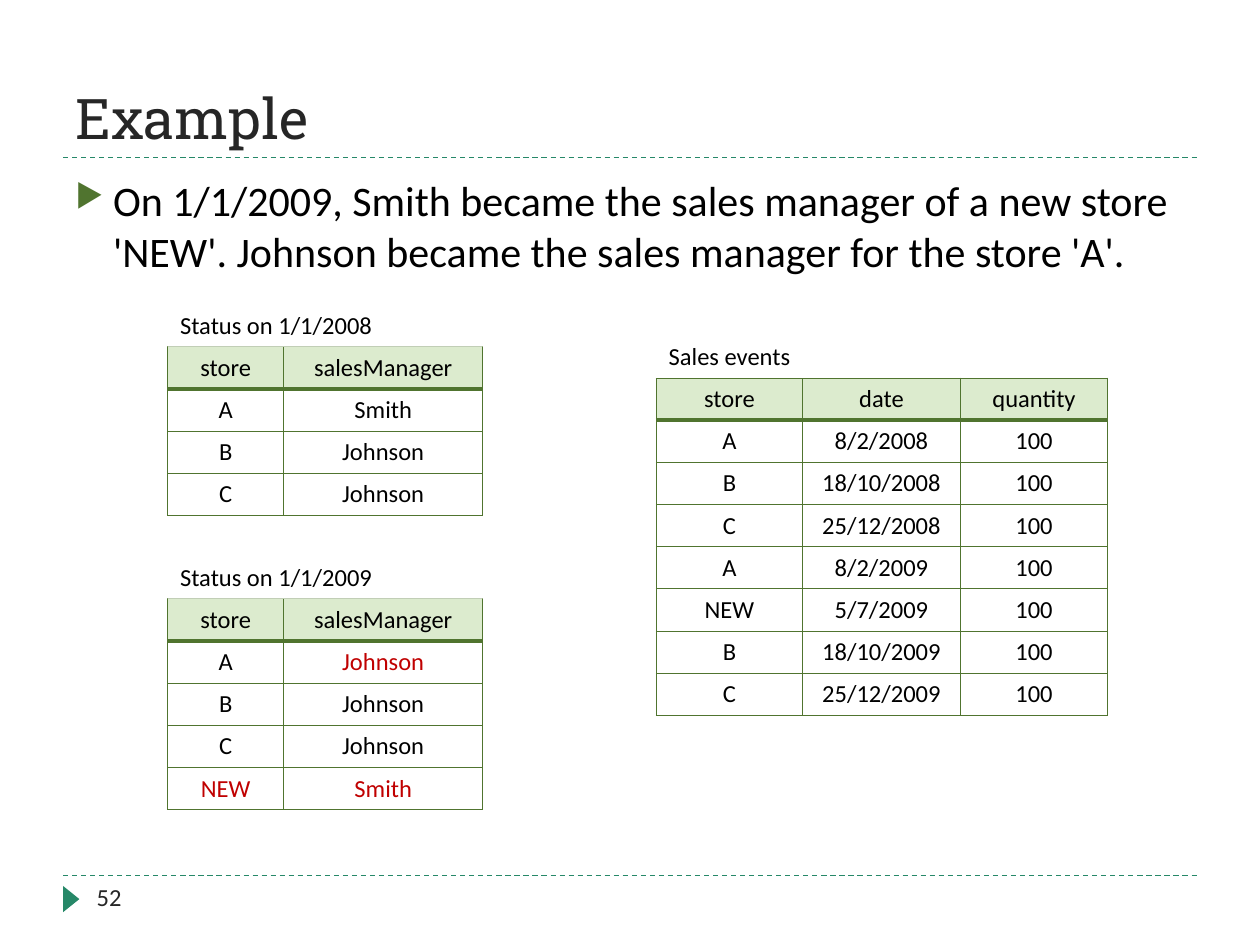
import lxml.etree
import pptx
import pptx.dml.color
import pptx.enum.dml
import pptx.enum.shapes
import pptx.enum.text
import pptx.oxml.ns
import pptx.util

Cm, Pt = pptx.util.Cm, pptx.util.Pt
qn = pptx.oxml.ns.qn
SHAPES = pptx.enum.shapes.MSO_SHAPE
ANCHOR = pptx.enum.text.MSO_ANCHOR

# Content
TITLE = "Example"
BODY = ("On 1/1/2009, Smith became the sales manager of a new store 'NEW'. "
        "Johnson became the sales manager for the store 'A'.")
PAGE_NUMBER = "52"
STATUS_COLUMNS = [("store", 2.34), ("salesManager", 4.01)]
EVENT_COLUMNS = [("store", 2.95), ("date", 3.18), ("quantity", 2.97)]
# "changed" holds the (row, column) of highlighted cells, the header being row 0
TABLES = [
    {"caption": "Status on 1/1/2008", "caption_width": 6.35, "left": 3.38, "top": 6.99,
     "columns": STATUS_COLUMNS, "changed": [],
     "rows": [("A", "Smith"), ("B", "Johnson"), ("C", "Johnson")]},
    {"caption": "Sales events", "caption_width": 4.88, "left": 13.23, "top": 7.62,
     "columns": EVENT_COLUMNS, "changed": [],
     "rows": [("A", "8/2/2008", "100"), ("B", "18/10/2008", "100"),
              ("C", "25/12/2008", "100"), ("A", "8/2/2009", "100"),
              ("NEW", "5/7/2009", "100"), ("B", "18/10/2009", "100"),
              ("C", "25/12/2009", "100")]},
    {"caption": "Status on 1/1/2009", "caption_width": 6.35, "left": 3.38, "top": 12.07,
     "columns": STATUS_COLUMNS, "changed": [(1, 1), (4, 0), (4, 1)],
     "rows": [("A", "Johnson"), ("B", "Johnson"), ("C", "Johnson"), ("NEW", "Smith")]},
]
COLORS = {"text": "000000", "title": "262626", "accent": "268868", "border": "50742F",
          "header": "DCEBCE", "changed": "C00000", "white": "FFFFFF"}
ROW_HEIGHT = 0.85
CAPTION_HEIGHT = 0.86
RULE_TOPS = [3.18, 17.65]
THIN, THICK = 0.5, 2.25


def rgb(name):
    return pptx.dml.color.RGBColor.from_string(COLORS[name])


def write(text_frame, text, size, color="text", font_name="Calibri"):
    text_frame.text = text
    paragraph = text_frame.paragraphs[0]
    font = paragraph.runs[0].font
    font.name, font.size, font.bold = font_name, Pt(size), False
    font.color.rgb = rgb(color)
    return paragraph


def add_text(slide, box, text, size, color="text", font_name="Calibri", anchor=ANCHOR.TOP):
    text_frame = slide.shapes.add_textbox(*map(Cm, box)).text_frame
    text_frame.word_wrap = True
    text_frame.vertical_anchor = anchor
    return write(text_frame, text, size, color, font_name)


def add_plain_shape(slide, kind, box, color):
    shape = slide.shapes.add_shape(kind, *map(Cm, box))
    shape.shadow.inherit = False
    shape.fill.solid()
    shape.fill.fore_color.rgb = rgb(color)
    shape.line.fill.background()
    return shape


def add_rule(slide, top):
    line = slide.shapes.add_connector(
        pptx.enum.shapes.MSO_CONNECTOR.STRAIGHT, Cm(1.27), Cm(top), Cm(24.13), Cm(top))
    line.line.color.rgb = rgb("accent")
    line.line.width = Pt(0.75)
    line.line.dash_style = pptx.enum.dml.MSO_LINE.DASH
    lxml.etree.SubElement(line._element.spPr, qn("a:effectLst"))


def add_bullet(paragraph):
    properties = paragraph._p.get_or_add_pPr()
    properties.set("marL", str(Cm(0.76)))
    properties.set("indent", str(-Cm(0.76)))
    color = lxml.etree.SubElement(properties, qn("a:buClr"))
    lxml.etree.SubElement(color, qn("a:srgbClr"), val=COLORS["border"])
    lxml.etree.SubElement(properties, qn("a:buSzPct"), val="76000")
    lxml.etree.SubElement(properties, qn("a:buChar"), char="▶")


def set_borders(cell, row):
    widths = {"L": THIN, "R": THIN, "T": THICK if row == 1 else THIN,
              "B": THICK if row == 0 else THIN}
    properties = cell._tc.get_or_add_tcPr()
    for side, width in widths.items():
        border = lxml.etree.SubElement(properties, qn("a:ln" + side), w=str(Pt(width)))
        fill = lxml.etree.SubElement(border, qn("a:solidFill"))
        lxml.etree.SubElement(fill, qn("a:srgbClr"), val=COLORS["border"])


def add_captioned_table(slide, data):
    rows = [[name for name, _ in data["columns"]], *data["rows"]]
    widths = [width for _, width in data["columns"]]
    table = slide.shapes.add_table(
        len(rows), len(widths), Cm(data["left"]), Cm(data["top"]),
        Cm(sum(widths)), Cm(ROW_HEIGHT * len(rows))).table
    table.first_row = table.horz_banding = False
    for column, width in zip(table.columns, widths):
        column.width = Cm(width)
    for row, values in enumerate(rows):
        table.rows[row].height = Cm(ROW_HEIGHT)
        for column, value in enumerate(values):
            cell = table.cell(row, column)
            color = "changed" if (row, column) in data["changed"] else "text"
            paragraph = write(cell.text_frame, value, 14, color)
            paragraph.alignment = pptx.enum.text.PP_ALIGN.CENTER
            set_borders(cell, row)
            if row == 0:
                cell.fill.solid()
                cell.fill.fore_color.rgb = rgb("header")
            else:
                cell.fill.background()

    # Caption directly above the table
    box = (data["left"], data["top"] - CAPTION_HEIGHT, data["caption_width"], CAPTION_HEIGHT)
    caption = add_plain_shape(slide, SHAPES.RECTANGLE, box, "white")
    caption.text_frame.word_wrap = True
    caption.text_frame.vertical_anchor = ANCHOR.TOP
    paragraph = write(caption.text_frame, data["caption"], 14)
    paragraph.alignment = pptx.enum.text.PP_ALIGN.LEFT


def main():
    presentation = pptx.Presentation()
    presentation.slide_width, presentation.slide_height = Cm(25.4), Cm(19.05)
    slide = presentation.slides.add_slide(presentation.slide_layouts[6])

    # Rules and page marker
    for top in RULE_TOPS:
        add_rule(slide, top)
    marker = add_plain_shape(slide, SHAPES.ISOSCELES_TRIANGLE, (1.17, 17.96, 0.53, 0.33), "accent")
    marker.rotation = 90

    # Title, page number and body
    add_text(slide, (1.27, 0.43, 22.86, 2.74), TITLE, 32, "title", "Roboto Slab", ANCHOR.BOTTOM)
    add_text(slide, (1.7, 17.65, 5.51, 1.02), PAGE_NUMBER, 14, "title")
    add_bullet(add_text(slide, (1.27, 3.4, 22.86, 2.74), BODY, 24))

    # Tables
    for data in TABLES:
        add_captioned_table(slide, data)
    presentation.save("out.pptx")


if __name__ == "__main__":
    main()
